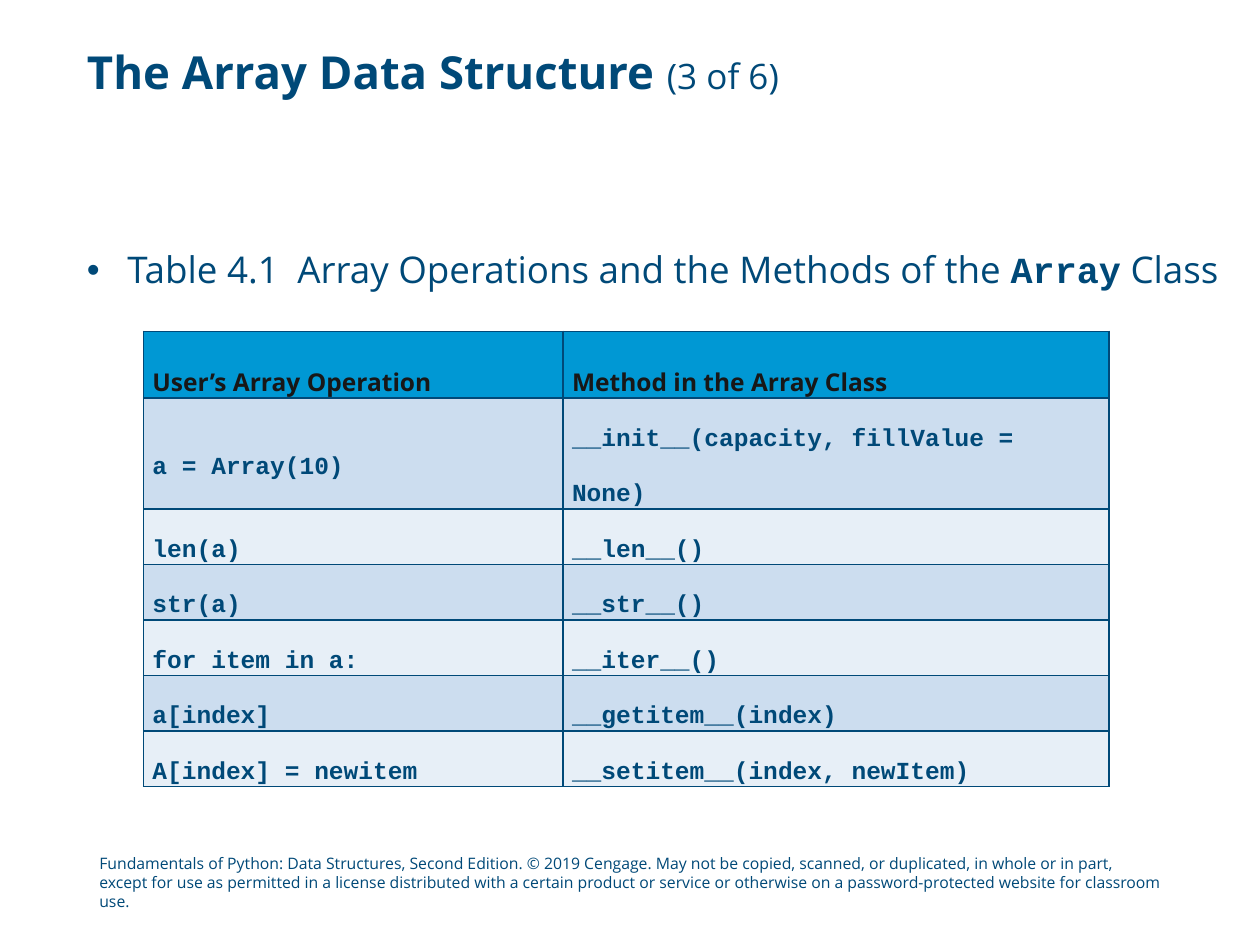
import pptx
import pptx.dml.color
import pptx.enum.text
import pptx.oxml.ns
import pptx.util
from lxml import etree
from pptx.util import Inches

NAVY, BLACK, BLUE = "004978", "181717", "0098D4"
BANDS = ("CCDDEF", "E7EFF7")
SANS, MONO = "Open Sans", "Courier New"
TOP = pptx.enum.text.MSO_ANCHOR.TOP
MIDDLE = pptx.enum.text.MSO_ANCHOR.MIDDLE
LEFT = pptx.enum.text.PP_ALIGN.LEFT

OPERATIONS = [
    ("User’s Array Operation", "Method in the Array Class"),
    ("a = Array(10)", "__init__(capacity, fillValue = None)"),
    ("len(a)", "__len__()"),
    ("str(a)", "__str__()"),
    ("for item in a:", "__iter__()"),
    ("a[index]", "__getitem__(index)"),
    ("A[index] = newitem", "__setitem__(index, newItem)"),
]
COPYRIGHT = (
    "Fundamentals of Python: Data Structures, Second Edition. © 2019 Cengage. "
    "May not be copied, scanned, or duplicated, in whole or in part, except for use "
    "as permitted in a license distributed with a certain product or service or "
    "otherwise on a password-protected website for classroom use."
)


def color(value):
    return pptx.dml.color.RGBColor.from_string(value)


def set_values(target, values):
    for name, value in values.items():
        setattr(target, name, value)


def add_child(parent, tag, **attributes):
    return etree.SubElement(parent, pptx.oxml.ns.qn(tag), attributes)


def add_span(para, text, size, font=SANS, bold=False, ink=NAVY):
    span = para.add_run()
    span.text = text
    set_values(span.font, {"name": font, "size": pptx.util.Pt(size), "bold": bold})
    span.font.color.rgb = color(ink)


def prepare_placeholder(box, left, top, width, height):
    """Place the box, clear its margins and return its first paragraph."""
    set_values(box, {"left": Inches(left), "top": Inches(top),
                     "width": Inches(width), "height": Inches(height)})
    set_values(box.text_frame, {
        "margin_left": 0, "margin_right": 0, "margin_top": 0, "margin_bottom": 0,
        "word_wrap": True, "vertical_anchor": TOP,
        "auto_size": pptx.enum.text.MSO_AUTO_SIZE.NONE})
    para = box.text_frame.paragraphs[0]
    set_values(para, {"alignment": LEFT, "line_spacing": 0.9,
                      "space_before": pptx.util.Pt(0)})
    return para


def add_bullet_and_tab(para, indent, tab):
    properties = para._p.get_or_add_pPr()
    properties.set("marL", str(Inches(indent)))
    properties.set("indent", str(-Inches(indent)))
    add_child(properties, "a:buFont", typeface="Arial")
    add_child(properties, "a:buChar", char="•")
    stops = add_child(properties, "a:tabLst")
    add_child(stops, "a:tab", pos=str(Inches(tab)), algn="l")


def add_borders(cell):
    properties = cell._tc.get_or_add_tcPr()
    for side in ("a:lnL", "a:lnR", "a:lnT", "a:lnB"):
        line = add_child(properties, side, w=str(pptx.util.Pt(1)))
        add_child(add_child(line, "a:solidFill"), "a:srgbClr", val=NAVY)


def fill_cell(cell, text, fill, font, ink):
    add_borders(cell)
    cell.fill.solid()
    cell.fill.fore_color.rgb = color(fill)
    set_values(cell, {"margin_left": Inches(0.07), "margin_right": Inches(0.07),
                      "margin_top": 0, "margin_bottom": 0, "vertical_anchor": MIDDLE})
    para = cell.text_frame.paragraphs[0]
    para.line_spacing = 2.0
    add_span(para, text, 14, font, True, ink)


def add_operations_table(slide):
    widths, row_height = (3.33, 4.33), 0.41
    table = slide.shapes.add_table(
        len(OPERATIONS), len(widths), Inches(1.14), Inches(2.63),
        Inches(sum(widths)), Inches(row_height * len(OPERATIONS))).table
    for column, width in zip(table.columns, widths):
        column.width = Inches(width)
    for index, texts in enumerate(OPERATIONS):
        style = (BLUE, SANS, BLACK) if index == 0 else (BANDS[(index - 1) % 2], MONO, NAVY)
        for column, text in enumerate(texts):
            fill_cell(table.cell(index, column), text, *style)


def add_copyright(slide):
    box = slide.shapes.add_textbox(Inches(0.69), Inches(6.73), Inches(8.62), Inches(0.4))
    box.text_frame.word_wrap = True
    add_span(box.text_frame.paragraphs[0], COPYRIGHT, 9)


def main():
    deck = pptx.Presentation()
    set_values(deck, {"slide_width": Inches(10), "slide_height": Inches(7.5)})
    slide = deck.slides.add_slide(deck.slide_layouts[1])

    title = prepare_placeholder(slide.shapes.title, 0.69, 0.4, 8.62, 0.49)
    add_span(title, "The Array Data Structure ", 26, bold=True)
    add_span(title, "(3 of 6)", 20)

    caption = prepare_placeholder(slide.placeholders[1], 0.69, 2, 9.06, 0.42)
    add_bullet_and_tab(caption, 0.32, 1.67)
    add_span(caption, "Table 4.1\tArray Operations and the Methods of the ", 21)
    add_span(caption, "Array", 21, MONO, True)
    add_span(caption, " Class", 21)

    add_operations_table(slide)
    add_copyright(slide)
    deck.save("out.pptx")


if __name__ == "__main__":
    main()
